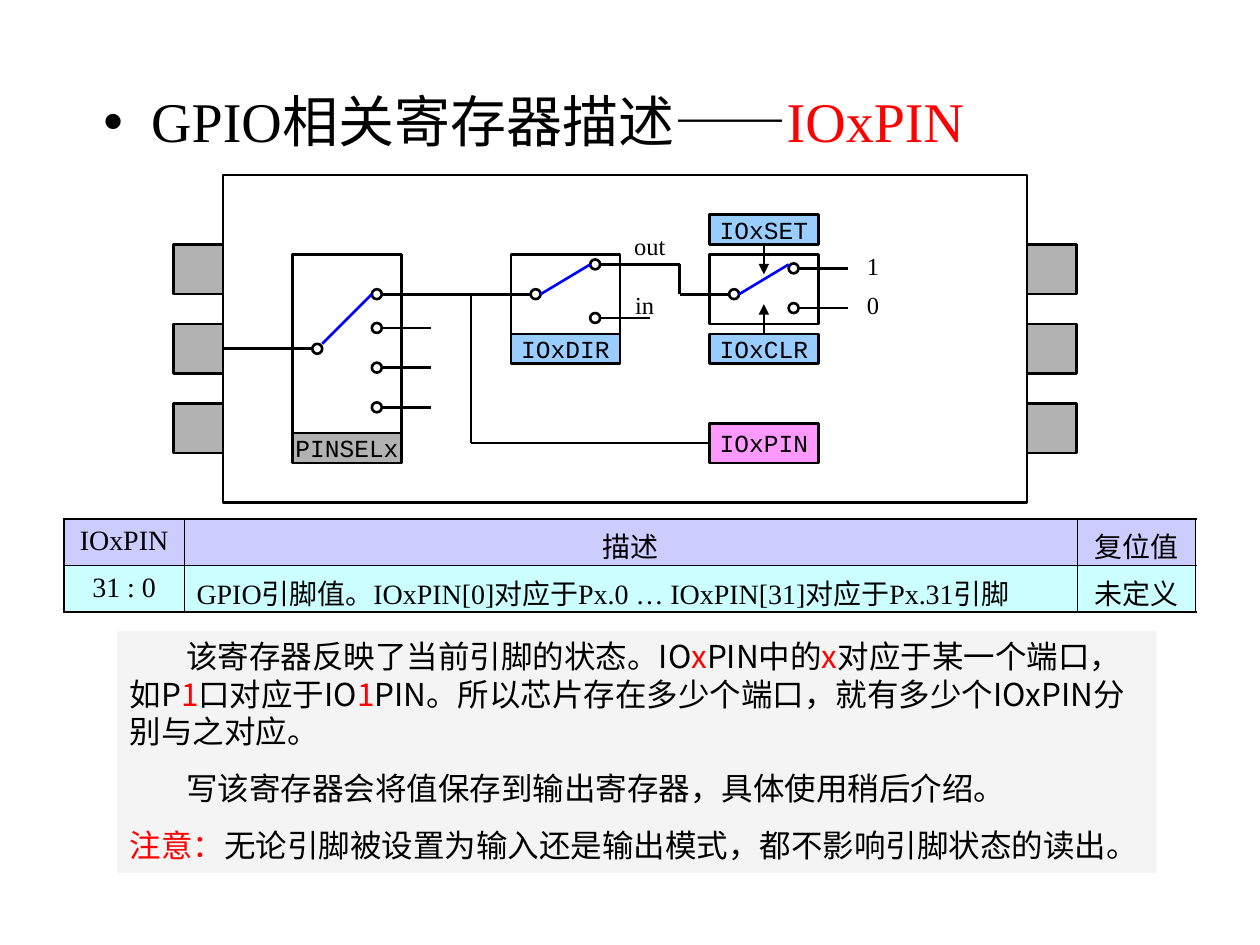
from itertools import pairwise

from lxml import etree
from pptx import Presentation, util as u
from pptx.dml.color import RGBColor
from pptx.enum import shapes, text
from pptx.oxml import ns

SERIF, MONO, SANS = "Times New Roman", "Courier New", "Noto Sans CJK JP"
BLACK, RED, BLUE, GRAY = "000000", "FF0000", "0000FF", "B2B2B2"
SKY, PINK = "99CCFF", "FF99FF"

LEFT, TOP, UNIT = 1.77, 1.39, 6.38 / 81

HEADING = [("GPIO相关寄存器描述——", BLACK), ("IOxPIN", RED)]
FRAMES = [(0, 0, 81, 33), (7, 8, 11, 18), (29, 8, 11, 8), (49, 8, 11, 7)]
REGISTERS = [
    ("PINSELx", 7, 26, 3, GRAY),
    ("IOxDIR", 29, 16, 3, SKY),
    ("IOxCLR", 49, 16, 3, SKY),
    ("IOxPIN", 49, 25, 4, PINK),
    ("IOxSET", 49, 4, 3, SKY),
]
PIN_COLUMNS, PIN_ROWS = (-5, 81), (7, 15, 23)
COMMON_CONTACTS = [(9.5, 17.5), (31.5, 12), (51.5, 12)]
SWITCHED_CONTACTS = [
    (15.5, (12, 15.4, 19.4, 23.4)),
    (37.5, (9, 14.4)),
    (57.5, (9.4, 13.4)),
]
LEAD = 5.5
WIRES = [
    [(0, 17.5), (9, 17.5)],
    [(21, 12), (31, 12)],
    [(43, 9), (46, 9), (46, 12), (51, 12)],
    [(25, 12), (25, 27), (49, 27)],
]
BLADES = [[(10, 17), (15, 12)], [(32, 12), (37, 9)], [(52, 12), (57, 9)]]
ARROWS = [[(54.5, 7), (54.5, 10)], [(54.5, 16), (54.5, 13)]]
SIGNALS = [("out", 40, 5, 6), ("in", 40, 11, 5), ("1", 63, 7, 5), ("0", 63, 11, 5)]

COLUMNS = [0.95, 7.09, 0.94]
ROWS = [
    ("CCCCFF", ["IOxPIN", "描述", "复位值"]),
    ("CCFFFF", ["31 : 0", "GPIO引脚值。IOxPIN[0]对应于Px.0 … IOxPIN[31]对应于Px.31引脚", "未定义"]),
]
NOTES = [
    (0.45, [
        ("该寄存器反映了当前引脚的状态。IO", BLACK), ("x", RED), ("PIN中的", BLACK),
        ("x", RED), ("对应于某一个端口，如P", BLACK), ("1", RED), ("口对应于IO", BLACK),
        ("1", RED), ("PIN。所以芯片存在多少个端口，就有多少个IOxPIN分别与之对应。", BLACK),
    ]),
    (0.45, [("写该寄存器会将值保存到输出寄存器，具体使用稍后介绍。", BLACK)]),
    (0, [("注意：", RED), ("无论引脚被设置为输入还是输出模式，都不影响引脚状态的读出。", BLACK)]),
]


def rgb(value):
    return RGBColor.from_string(value)


def child(parent, tag, **attributes):
    return etree.SubElement(parent, ns.qn(tag), attributes)


def inches(*values):
    return [u.Inches(value) for value in values]


def grid(x, y):
    return inches(LEFT + x * UNIT, TOP + y * UNIT)


def size(width, height):
    return inches(width * UNIT, height * UNIT)


def write(paragraph, runs, points, font, align=text.PP_ALIGN.LEFT):
    paragraph.alignment = align
    paragraph.space_before = u.Pt(0)
    for content, color in runs:
        run = paragraph.add_run()
        run.text = content
        for name, value in dict(name=font, size=u.Pt(points), bold=False).items():
            setattr(run.font, name, value)
        run.font.color.rgb = rgb(color)
        if font == SANS:
            child(run.font._element, "a:ea", typeface=font)


def set_frame(frame, **formats):
    for name, value in formats.items():
        setattr(frame, name, value)


def add_shape(slide, kind, position, extent, fill=None, line=BLACK):
    shape = slide.shapes.add_shape(kind, *position, *extent)
    shape.shadow.inherit = False
    if fill:
        shape.fill.solid()
        shape.fill.fore_color.rgb = rgb(fill)
    else:
        shape.fill.background()
    if line:
        shape.line.color.rgb = rgb(line)
        shape.line.width = u.Pt(1.5)
    else:
        shape.line.fill.background()
    return shape


def add_box(slide, x, y, width, height, fill=None):
    return add_shape(slide, shapes.MSO_SHAPE.RECTANGLE, grid(x, y), size(width, height), fill)


def add_contact(slide, x, y):
    add_shape(slide, shapes.MSO_SHAPE.OVAL, grid(x - 0.5, y - 0.5), size(1, 1))


def add_wire(slide, points, color=BLACK, arrow=False):
    for start, end in pairwise(points):
        wire = slide.shapes.add_connector(shapes.MSO_CONNECTOR.STRAIGHT, *grid(*start), *grid(*end))
        wire.line.color.rgb = rgb(color)
        wire.line.width = u.Pt(1.5)
        if arrow:
            child(wire.line._get_or_add_ln(), "a:tailEnd", type="triangle")
        child(wire._element.spPr, "a:effectLst")


def add_heading(slide):
    slide.shapes._spTree.remove(slide.shapes.title._element)
    body = slide.placeholders[1]
    body.left, body.top, body.width, body.height = inches(0.72, 0.64, 8.5, 0.67)
    set_frame(body.text_frame, auto_size=text.MSO_AUTO_SIZE.NONE, vertical_anchor=text.MSO_ANCHOR.TOP)
    paragraph = body.text_frame.paragraphs[0]
    properties = paragraph._p.get_or_add_pPr()
    properties.set("marL", str(u.Inches(0.38)))
    properties.set("indent", str(u.Inches(-0.38)))
    child(properties, "a:buChar", char="•")
    write(paragraph, HEADING, 32, SERIF)


def add_circuit(slide):
    for frame in FRAMES:
        add_box(slide, *frame)
    for x in PIN_COLUMNS:
        for y in PIN_ROWS:
            add_box(slide, x, y, 5, 5, GRAY)
    for wire in WIRES:
        add_wire(slide, wire)
    for x, y in COMMON_CONTACTS:
        add_contact(slide, x, y)
    for x, levels in SWITCHED_CONTACTS:
        for y in levels:
            add_wire(slide, [(x + 0.5, y), (x + LEAD, y)])
            add_contact(slide, x, y)
    for blade in BLADES:
        add_wire(slide, blade, BLUE)
    for arrow in ARROWS:
        add_wire(slide, arrow, arrow=True)
    for name, x, y, height, fill in REGISTERS:
        frame = add_box(slide, x, y, 11, height, fill).text_frame
        set_frame(frame, word_wrap=False, vertical_anchor=text.MSO_ANCHOR.MIDDLE)
        write(frame.paragraphs[0], [(name, BLACK)], 14, MONO, text.PP_ALIGN.CENTER)
    for name, x, y, width in SIGNALS:
        frame = slide.shapes.add_textbox(*grid(x, y), *size(width, 4.3)).text_frame
        frame.word_wrap = True
        write(frame.paragraphs[0], [(name, BLACK)], 14, SERIF, text.PP_ALIGN.CENTER)


def set_borders(cell, row, column):
    outer = dict(L=column == 0, R=column == len(COLUMNS) - 1, T=row == 0, B=row == len(ROWS) - 1)
    properties = cell._tc.get_or_add_tcPr()
    for index, (side, is_outer) in enumerate(outer.items()):
        border = child(properties, f"a:ln{side}", w=str(u.Pt(1.08 if is_outer else 0.45)))
        child(child(border, "a:solidFill"), "a:srgbClr", val=BLACK)
        properties.insert(index, border)


def add_register_table(slide):
    area = inches(0.51, 4.12, sum(COLUMNS), 0.74)
    table = slide.shapes.add_table(len(ROWS), len(COLUMNS), *area).table
    table.first_row = table.horz_banding = False
    for column, width in zip(table.columns, COLUMNS):
        column.width = u.Inches(width)
    for row, (fill, values) in enumerate(ROWS):
        for column, value in enumerate(values):
            cell = table.cell(row, column)
            cell.fill.solid()
            cell.fill.fore_color.rgb = rgb(fill)
            set_borders(cell, row, column)
            align = text.PP_ALIGN.LEFT if (row, column) == (1, 1) else text.PP_ALIGN.CENTER
            write(cell.text_frame.paragraphs[0], [(value, BLACK)], 16, SERIF, align)


def add_notes_panel(slide):
    panel = add_shape(slide, shapes.MSO_SHAPE.RECTANGLE, inches(0.93, 5.01), inches(8.25, 1.92), "DDDDDD", None)
    child(panel._element.spPr.find(".//" + ns.qn("a:srgbClr")), "a:alpha", val="30000")
    frame = panel.text_frame
    set_frame(frame, word_wrap=True, vertical_anchor=text.MSO_ANCHOR.TOP)
    for index, (indent, runs) in enumerate(NOTES):
        paragraph = frame.add_paragraph() if index else frame.paragraphs[0]
        paragraph._p.get_or_add_pPr().set("indent", str(u.Inches(indent)))
        write(paragraph, runs, 18, SANS)
        paragraph.line_spacing = u.Pt(21.4)
        paragraph.space_before = u.Pt(11.2 if index else 0)


def main():
    presentation = Presentation()
    presentation.slide_width, presentation.slide_height = inches(10, 7.5)
    slide = presentation.slides.add_slide(presentation.slide_layouts[1])
    add_circuit(slide)
    add_heading(slide)
    add_register_table(slide)
    add_notes_panel(slide)
    presentation.save("out.pptx")


if __name__ == "__main__":
    main()
